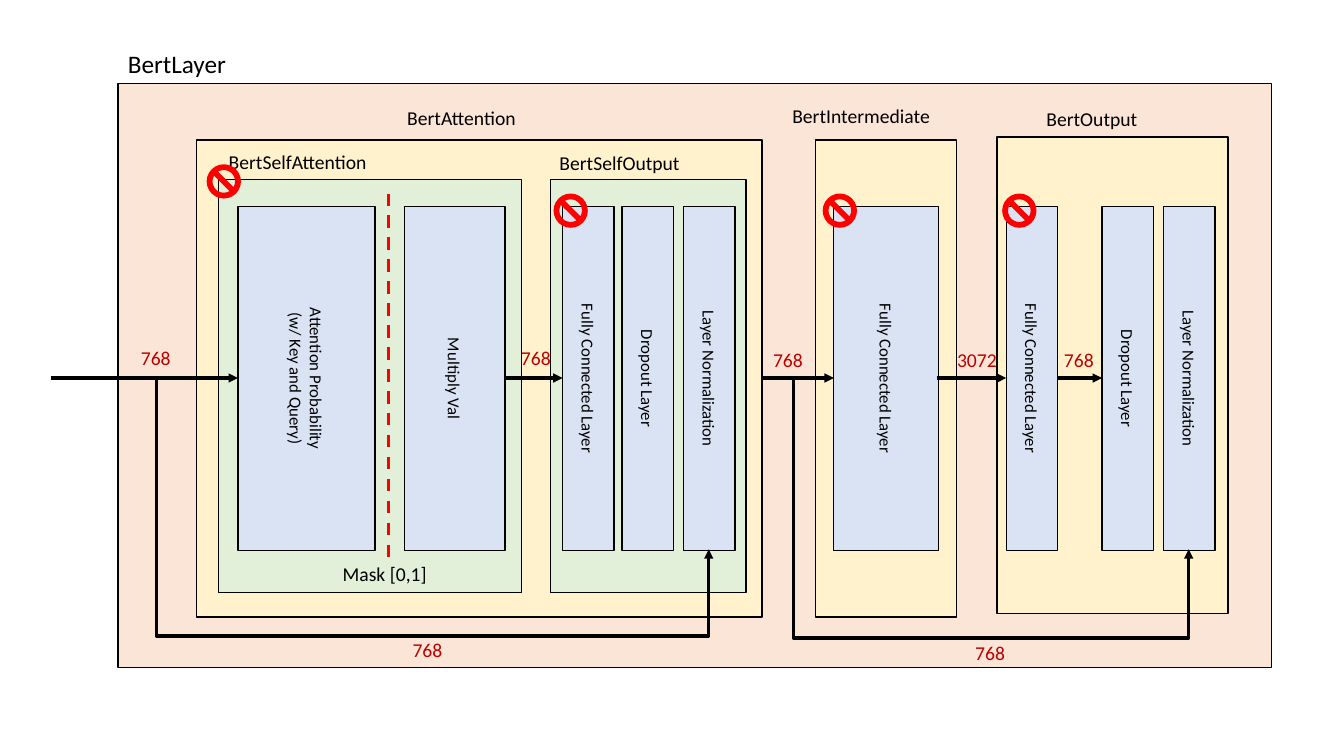
"""Build a slide that shows the inner structure of a BertLayer."""
from lxml import etree
from pptx import Presentation
from pptx.dml.color import RGBColor
from pptx.enum.dml import MSO_LINE
from pptx.enum.shapes import MSO_CONNECTOR as LINK, MSO_SHAPE as SHAPE
from pptx.enum.text import MSO_ANCHOR as ANCHOR, MSO_AUTO_SIZE as FIT, PP_ALIGN as ALIGN
from pptx.oxml.ns import qn
from pptx.util import Inches, Pt

BLACK, RED, DARK_RED = "000000", "FF0000", "C00000"
PEACH, CREAM, GREEN, BLUE = "FBE5D6", "FFF2CC", "E2F0D9", "DAE3F3"
FLOW_Y, BLOCK_TOP, BLOCK_HEIGHT = 3.75, 2.05, 3.41
BLOCK_BOTTOM = 5.45

MODULES = [
    (1.17, 0.83, 11.44, 5.79, PEACH),
    (9.89, 1.36, 2.29, 4.73, CREAM),
    (8.09, 1.39, 1.4, 4.73, CREAM),
    (1.95, 1.39, 5.61, 4.73, CREAM),
    (2.17, 1.78, 3, 4.1, GREEN),
    (5.46, 1.78, 1.94, 4.1, GREEN),
]
MODULE_NAMES = [
    ("BertLayer", 1.17, 0.43, 1.6, 18),
    ("BertAttention", 3.94, 1, 1.75, 14),
    ("BertIntermediate", 7.76, 0.98, 2.14, 14),
    ("BertOutput", 10.28, 1.01, 1.51, 14),
    ("BertSelfAttention", 2.17, 1.44, 2.15, 14),
    ("BertSelfOutput", 5.45, 1.45, 1.95, 14),
    ("Mask [0,1]", 3.3, 5.53, 1.41, 14),
]
BLOCKS = [
    ("Attention Probability\n(w/ Key and Query)", 2.36, 1.36),
    ("Multiply Val", 4.01, 1),
    ("Fully Connected Layer", 5.58, 0.51),
    ("Dropout Layer", 6.17, 0.51),
    ("Layer Normalization", 6.78, 0.51),
    ("Fully Connected Layer", 8.27, 1.04),
    ("Fully Connected Layer", 9.98, 0.51),
    ("Dropout Layer", 10.93, 0.51),
    ("Layer Normalization", 11.54, 0.51),
]
FLOWS = [(0.51, 2.36), (5, 5.58), (7.64, 8.27), (9.29, 9.98), (10.49, 10.93)]
RESIDUALS = [(0.77, 1.55, 7.03, 6.31), (7.56, 7.87, 11.79, 6.33)]
SIZES = [
    ("768", 1.25, 3.38, 0.59),
    ("768", 5.02, 3.38, 0.59),
    ("768", 7.52, 3.4, 0.59),
    ("3072", 9.27, 3.4, 0.84),
    ("768", 10.4, 3.4, 0.6),
    ("768", 9.52, 6.31, 0.6),
    ("768", 3.94, 6.28, 0.6),
]
FROZEN_MARKS = [(2.05, 1.63), (5.49, 1.92), (8.16, 1.92), (9.94, 1.92)]

deck = Presentation()
deck.slide_width, deck.slide_height = Inches(13.33), Inches(7.5)
slide = deck.slides.add_slide(deck.slide_layouts[6])


def paint(target, color):
    target.fill.solid()
    target.fill.fore_color.rgb = RGBColor.from_string(color)


def add_box(preset, left, top, width, height, color, outlined=True):
    box = slide.shapes.add_shape(preset, *map(Inches, (left, top, width, height)))
    box.shadow.inherit = False
    paint(box, color)
    if outlined:
        paint(box.line, BLACK)
        box.line.width = Pt(1)
    else:
        box.line.fill.background()
    return box


def write(frame, words, size, color, align):
    paragraph = frame.paragraphs[0]
    paragraph.alignment = align
    for number, words_line in enumerate(words.split("\n")):
        if number:
            paragraph.add_line_break()
        run = paragraph.add_run()
        run.text = words_line
        run.font.name, run.font.size = "Calibri", Pt(size)
        run.font.color.rgb = RGBColor.from_string(color)


def add_label(words, left, top, width, size, color=BLACK, align=ALIGN.LEFT, anchor=ANCHOR.TOP):
    height = 0.4 if size > 14 else 0.34
    frame = slide.shapes.add_textbox(*map(Inches, (left, top, width, height))).text_frame
    frame.word_wrap, frame.auto_size = True, FIT.SHAPE_TO_FIT_TEXT
    frame.vertical_anchor = anchor
    write(frame, words, size, color, align)


def add_link(kind, start, end, color=BLACK, arrow=True):
    link = slide.shapes.add_connector(kind, *map(Inches, (*start, *end)))
    paint(link.line, color)
    link.line.width = Pt(2.25)
    if arrow:
        etree.SubElement(link.line._get_or_add_ln(), qn("a:tailEnd"), type="triangle")
    etree.SubElement(link._element.spPr, qn("a:effectLst"))
    return link


def add_residual(start, turn, end, low):
    link = add_link(LINK.ELBOW, (start, FLOW_Y), (end, BLOCK_BOTTOM))
    geometry = link._element.spPr.find(qn("a:prstGeom"))
    geometry.set("prst", "bentConnector4")
    guides = geometry.get_or_add_avLst()
    ratios = (turn - start) / (end - start), (low - FLOW_Y) / (BLOCK_BOTTOM - FLOW_Y)
    for number, ratio in enumerate(ratios, 1):
        etree.SubElement(guides, qn("a:gd"), name=f"adj{number}", fmla=f"val {round(ratio * 100000)}")


for *place, color in MODULES:
    add_box(SHAPE.RECTANGLE, *place, color)
for name in MODULE_NAMES:
    add_label(*name)
for words, left, width in BLOCKS:
    frame = add_box(SHAPE.RECTANGLE, left, BLOCK_TOP, width, BLOCK_HEIGHT, BLUE).text_frame
    frame.word_wrap, frame.vertical_anchor = True, ANCHOR.MIDDLE
    frame._txBody.bodyPr.set("vert", "vert")
    write(frame, words, 12, BLACK, ALIGN.CENTER)

mask = add_link(LINK.STRAIGHT, (3.85, 1.92), (3.85, 5.53), RED, arrow=False)
mask.line.dash_style = MSO_LINE.DASH
for start, end in FLOWS:
    add_link(LINK.STRAIGHT, (start, FLOW_Y), (end, FLOW_Y))
for residual in RESIDUALS:
    add_residual(*residual)
for size_label in SIZES:
    add_label(*size_label, 14, DARK_RED, ALIGN.CENTER, ANCHOR.MIDDLE)
for left, top in FROZEN_MARKS:
    mark = add_box(SHAPE.NO_SYMBOL, left, top, 0.34, 0.34, RED, outlined=False)
    mark.adjustments[0] = 0.17

deck.save("out.pptx")
